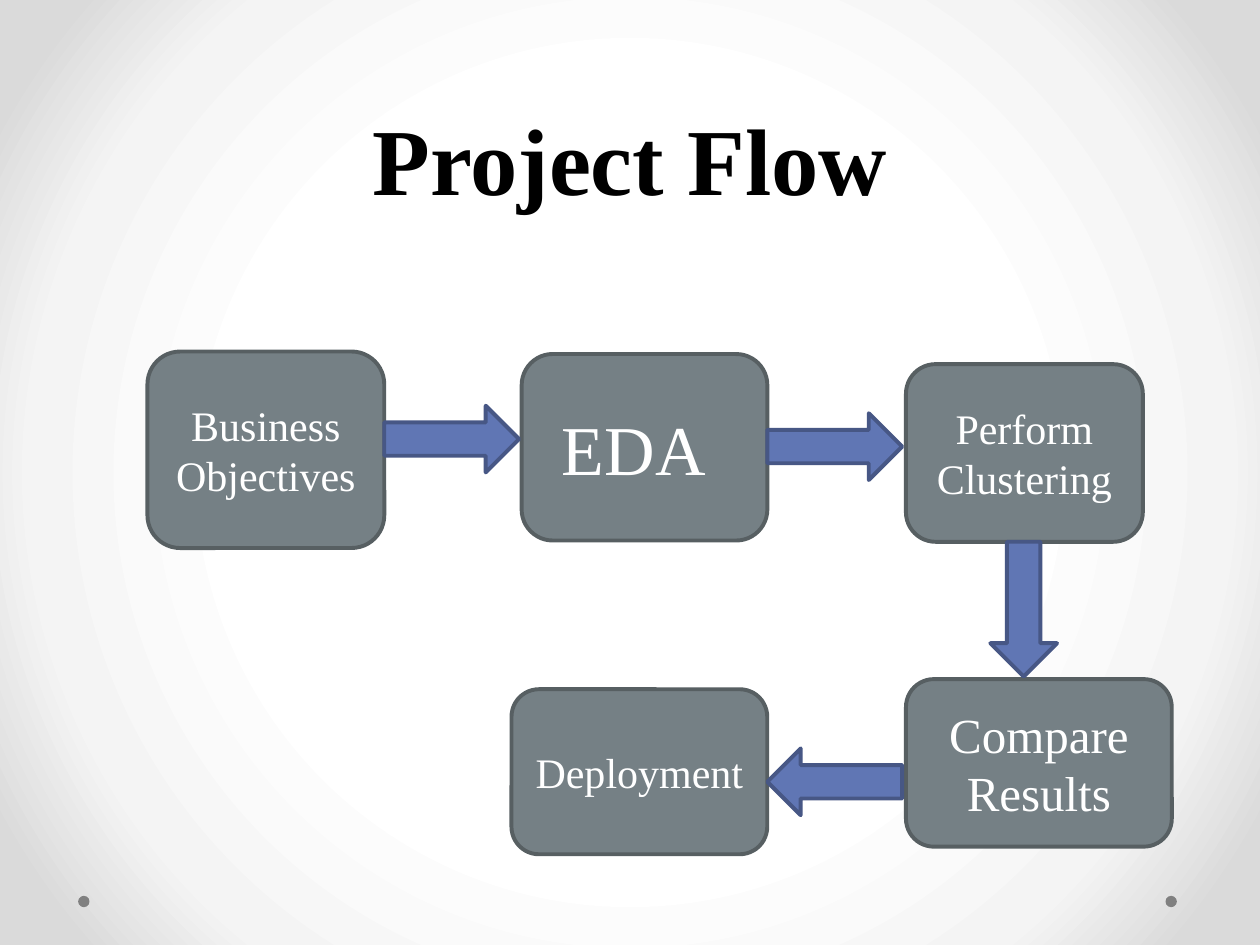
from dataclasses import dataclass

from lxml import etree
from pptx import Presentation
from pptx.dml.color import RGBColor
from pptx.enum.shapes import MSO_SHAPE
from pptx.enum.text import MSO_ANCHOR, PP_ALIGN
from pptx.oxml.ns import qn
from pptx.shapes.autoshape import Shape
from pptx.slide import Slide
from pptx.util import Inches, Pt

ELLIPSE = MSO_SHAPE.OVAL
ROUNDED = MSO_SHAPE.ROUNDED_RECTANGLE
RIGHT = MSO_SHAPE.RIGHT_ARROW
DOWN = MSO_SHAPE.DOWN_ARROW
LEFT = MSO_SHAPE.LEFT_ARROW
MIDDLE = MSO_ANCHOR.MIDDLE
BOTTOM = MSO_ANCHOR.BOTTOM
CENTER = PP_ALIGN.CENTER

FONT = "Times New Roman"
ARROW_LENGTH = 1.07
ARROW_BREADTH = 0.53
DOT_SIZE = 0.09


@dataclass
class Step:
    text: str
    left: float
    top: float
    width: float
    height: float
    size: int = 24
    right_inset: float = 0.1


@dataclass
class Arrow:
    kind: MSO_SHAPE
    left: float
    top: float


STEPS = [
    Step("Business Objectives", 1.17, 2.79, 1.88, 1.56),
    Step("EDA", 4.14, 2.81, 1.95, 1.48, size=40, right_inset=0.27),
    Step("Perform Clustering", 7.19, 2.89, 1.88, 1.41),
    Step("Compare Results", 7.19, 5.39, 2.11, 1.33, size=28),
    Step("Deployment", 4.06, 5.47, 2.03, 1.31),
]
ARROWS = [
    Arrow(RIGHT, 3.05, 3.22),
    Arrow(RIGHT, 6.09, 3.28),
    Arrow(DOWN, 7.86, 4.3),
    Arrow(LEFT, 6.09, 5.94),
]
BACKGROUND_STOPS = [(50, "FFFFFF"), (76, "F4F4F4"), (92, "DADADA")]


def color(value: str) -> RGBColor:
    return RGBColor.from_string(value)


def set_background(slide: Slide) -> None:
    slide.background.fill.gradient()
    gradient = next(slide.element.iter(qn("a:gradFill")))
    for child in list(gradient):
        gradient.remove(child)
    stops = etree.SubElement(gradient, qn("a:gsLst"))
    for position, value in BACKGROUND_STOPS:
        stop = etree.SubElement(stops, qn("a:gs"), pos=str(position * 1000))
        etree.SubElement(stop, qn("a:srgbClr"), val=value)
    circle = etree.SubElement(gradient, qn("a:path"), path="circle")
    center = dict.fromkeys("ltrb", "50000")
    etree.SubElement(circle, qn("a:fillToRect"), center)


def add_shape(slide: Slide, kind: MSO_SHAPE, left: float, top: float,
              width: float, height: float, fill: str,
              line: str | None = None) -> Shape:
    shape = slide.shapes.add_shape(
        kind, Inches(left), Inches(top), Inches(width), Inches(height))
    shape.shadow.inherit = False
    shape.fill.solid()
    shape.fill.fore_color.rgb = color(fill)
    if line:
        shape.line.color.rgb = color(line)
        shape.line.width = Pt(2.25)
    else:
        shape.line.fill.background()
    return shape


def write_text(shape: Shape, text: str, *, size: int, font_color: str,
               bold: bool = False, anchor: MSO_ANCHOR = MIDDLE,
               line_spacing: float | None = None,
               right_inset: float = 0.1) -> None:
    frame = shape.text_frame
    frame.word_wrap = True
    frame.vertical_anchor = anchor
    frame.margin_right = Inches(right_inset)
    paragraph = frame.paragraphs[0]
    paragraph.alignment = CENTER
    if line_spacing:
        paragraph.line_spacing = Pt(line_spacing)
    run = paragraph.add_run()
    run.text = text
    run.font.name = FONT
    run.font.size = Pt(size)
    run.font.bold = bold
    run.font.color.rgb = color(font_color)


def add_step(slide: Slide, step: Step) -> None:
    shape = add_shape(slide, ROUNDED, step.left, step.top, step.width,
                      step.height, "758085", "575F62")
    write_text(shape, step.text, size=step.size, font_color="FFFFFF",
               right_inset=step.right_inset)


def add_arrow(slide: Slide, arrow: Arrow) -> None:
    width, height = ARROW_LENGTH, ARROW_BREADTH
    if arrow.kind == DOWN:
        width, height = height, width
    add_shape(slide, arrow.kind, arrow.left, arrow.top, width, height,
              "6076B4", "475785")


def main() -> None:
    presentation = Presentation()
    presentation.slide_width = Inches(10)
    presentation.slide_height = Inches(7.5)
    slide = presentation.slides.add_slide(presentation.slide_layouts[6])
    set_background(slide)

    for left in (9.25, 0.62):
        add_shape(slide, ELLIPSE, left, 7.11, DOT_SIZE, DOT_SIZE, "808080")

    title = slide.shapes.add_textbox(
        Inches(0.5), Inches(0), Inches(9), Inches(1.75))
    write_text(title, "Project Flow", size=54, font_color="000000", bold=True,
               anchor=BOTTOM, line_spacing=58)

    for step in STEPS:
        add_step(slide, step)
    for arrow in ARROWS:
        add_arrow(slide, arrow)

    presentation.save("out.pptx")


if __name__ == "__main__":
    main()
